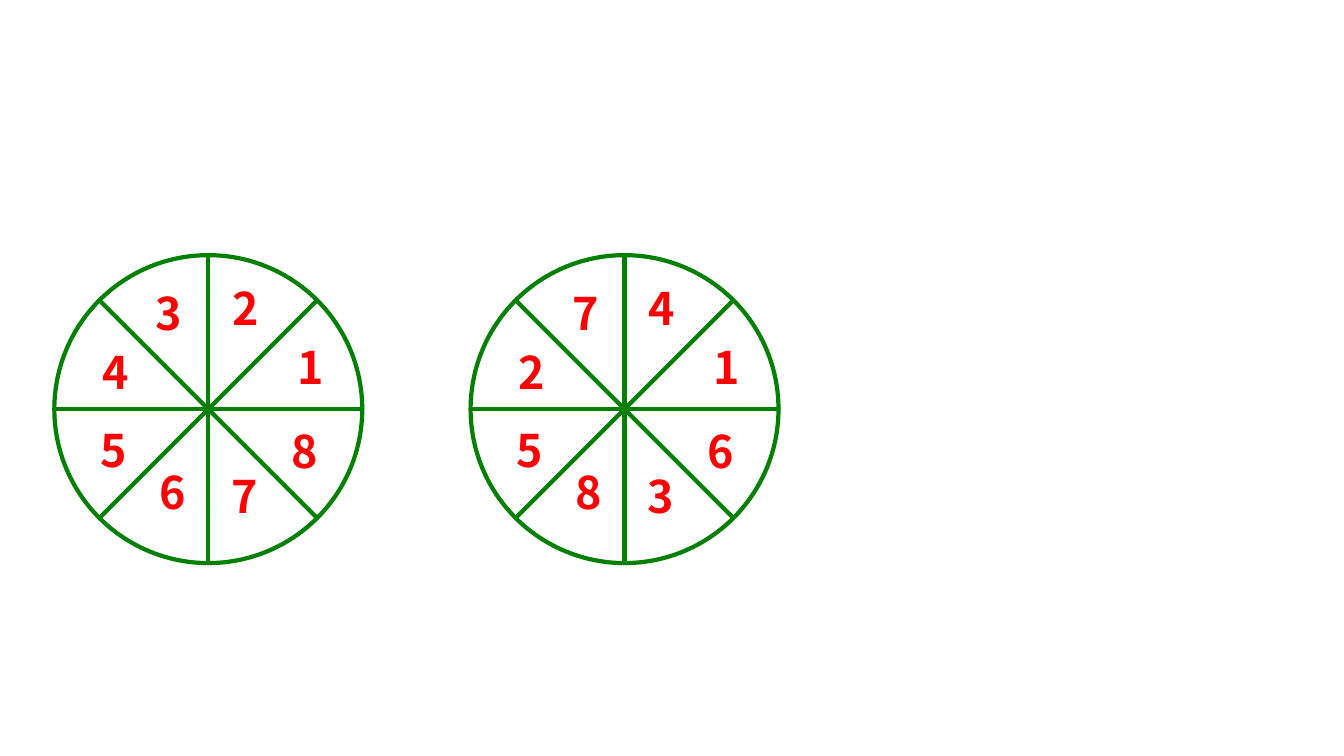
from math import cos, radians, sin

from lxml import etree
from pptx import Presentation
from pptx.dml.color import RGBColor
from pptx.enum.shapes import MSO_CONNECTOR, MSO_SHAPE
from pptx.enum.text import MSO_AUTO_SIZE
from pptx.oxml.ns import qn
from pptx.util import Cm, Pt

OVAL = MSO_SHAPE.OVAL
STRAIGHT = MSO_CONNECTOR.STRAIGHT
GROW = MSO_AUTO_SIZE.SHAPE_TO_FIT_TEXT

GREEN, RED = "008001", "FF0000"
DIGIT_FONT = {"name": "Noto Sans CJK SC", "size": Pt(32), "bold": True}
DIAMETER = 7.76
WHEEL_TOP = 6.43
DIGIT_W, DIGIT_H = 1.14, 1.63
# Digit positions in cm from the wheel's corner, counterclockwise from the right
DIGIT_SPOTS = [(5.87, 2.01), (4.24, 0.53), (2.31, 0.64), (0.97, 2.13),
               (0.91, 4.09), (2.39, 5.16), (4.22, 5.26), (5.72, 4.11)]
WHEELS = [(1.37, "12345678"), (11.86, "14725836")]


def rgb(color):
    return RGBColor.from_string(color)


def set_line(s):
    s.line.color.rgb = rgb(GREEN)
    s.line.width = Pt(3)


def add_spoke(shapes, cx, cy, angle):
    """Draw a full diameter through the centre at the given angle."""
    dx = DIAMETER / 2 * cos(radians(angle))
    dy = DIAMETER / 2 * sin(radians(angle))
    s = shapes.add_connector(STRAIGHT, Cm(cx - dx), Cm(cy + dy),
                             Cm(cx + dx), Cm(cy - dy))
    set_line(s)
    etree.SubElement(s._element.spPr, qn("a:effectLst"))


def add_digit(shapes, left, top, digit):
    s = shapes.add_textbox(Cm(left), Cm(top), Cm(DIGIT_W), Cm(DIGIT_H))
    tf = s.text_frame
    tf.word_wrap = False
    tf.auto_size = GROW
    r = tf.paragraphs[0].add_run()
    r.text = digit
    for name, value in DIGIT_FONT.items():
        setattr(r.font, name, value)
    r.font.color.rgb = rgb(RED)


def add_wheel(slide, left, top, digits):
    shapes = slide.shapes.add_group_shape().shapes
    rim = shapes.add_shape(OVAL, Cm(left), Cm(top), Cm(DIAMETER), Cm(DIAMETER))
    rim.shadow.inherit = False
    rim.fill.background()
    set_line(rim)
    for angle in range(0, 180, 45):
        add_spoke(shapes, left + DIAMETER / 2, top + DIAMETER / 2, angle)
    for digit, (x, y) in zip(digits, DIGIT_SPOTS):
        add_digit(shapes, left + x, top + y, digit)


def main():
    prs = Presentation()
    prs.slide_width, prs.slide_height = Cm(33.87), Cm(19.05)
    slide = prs.slides.add_slide(prs.slide_layouts[6])
    for left, digits in WHEELS:
        add_wheel(slide, left, WHEEL_TOP, digits)
    prs.save("out.pptx")


if __name__ == "__main__":
    main()
